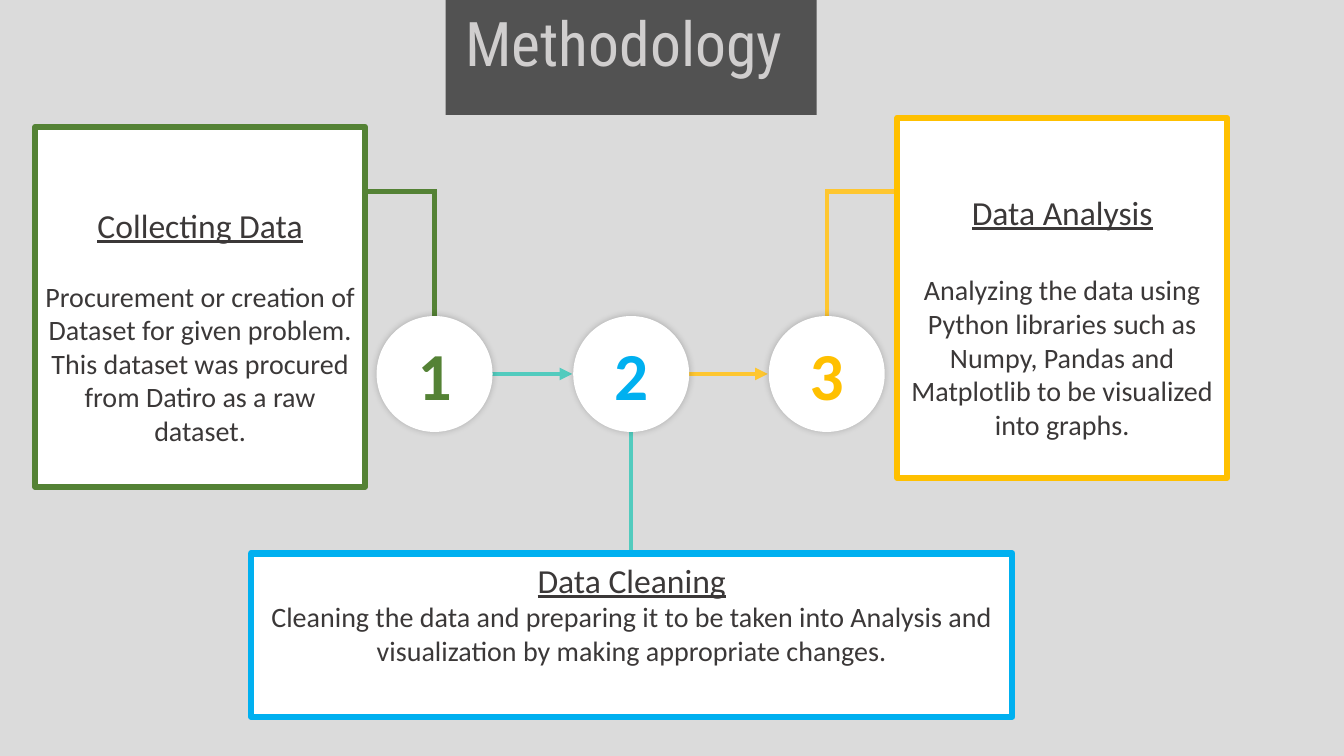
from lxml.etree import SubElement
from pptx import Presentation
from pptx.dml.color import RGBColor
from pptx.enum.shapes import MSO_CONNECTOR, MSO_SHAPE
from pptx.enum.text import MSO_ANCHOR, PP_ALIGN
from pptx.oxml.ns import qn
from pptx.util import Inches, Pt

COLORS = {
    "background": "DBDBDB", "banner": "525252", "title": "D0CECE",
    "white": "FFFFFF", "text": "3B3838", "green": "548235",
    "blue": "00B0F0", "gold": "FFC000", "teal": "52CBBE",
    "amber": "FEC630", "black": "000000",
}
CIRCLE_SIZE = 1.15
CIRCLE_Y = 3.71
CIRCLE_CENTERS = [4.31, 6.26, 8.2]
BRANCH_Y = 1.9
CARDS = [
    {"box": (0.35, 1.26, 3.27, 3.57), "color": "green", "top": 0.77, "gap": 24.4,
     "heading": "Collecting Data",
     "body": "Procurement or creation of Dataset for given problem. "
             "This dataset was procured from Datiro as a raw dataset."},
    {"box": (2.49, 5.49, 7.55, 1.62), "color": "blue", "top": 0.06, "gap": 0,
     "heading": "Data Cleaning",
     "body": "Cleaning the data and preparing it to be taken into Analysis and "
             "visualization by making appropriate changes."},
    {"box": (8.9, 1.17, 3.27, 3.57), "color": "gold", "top": 0.73, "gap": 29.3,
     "heading": "Data Analysis",
     "body": "Analyzing the data using Python libraries such as Numpy, Pandas and "
             "Matplotlib to be visualized into graphs."},
]


def rgb(name):
    return RGBColor.from_string(COLORS[name])


def set_attributes(target, values):
    for name, value in values.items():
        setattr(target, name, value)


def set_fill(fill, color):
    fill.solid()
    fill.fore_color.rgb = rgb(color)


def write(paragraph, text, color, **font_values):
    paragraph.alignment = PP_ALIGN.CENTER
    run = paragraph.add_run()
    run.text = text
    set_attributes(run.font, {"name": "Calibri", **font_values})
    run.font.color.rgb = rgb(color)


def add_banner(slide, box):
    title = slide.shapes.title
    names = ("left", "top", "width", "height")
    set_attributes(title, dict(zip(names, map(Inches, box))))
    set_fill(title.fill, "banner")
    set_attributes(title.text_frame, {
        "vertical_anchor": MSO_ANCHOR.TOP, "word_wrap": True,
        "margin_top": Inches(0.05), "margin_right": Inches(0.24),
    })
    write(title.text_frame.paragraphs[0], "Methodology", "title",
          name="Roboto Condensed", size=Pt(44))


def add_line(slide, start, end, color, arrow=False):
    connector = slide.shapes.add_connector(
        MSO_CONNECTOR.STRAIGHT, *map(Inches, (*start, *end)))
    connector.line.color.rgb = rgb(color)
    connector.line.width = Pt(3)
    properties = connector._element.spPr
    if arrow:
        SubElement(properties.find(qn("a:ln")), qn("a:tailEnd"), type="triangle")
    SubElement(properties, qn("a:effectLst"))


def add_branch(slide, center, card_edge, color):
    overlap = 0.02 if center > card_edge else -0.02
    add_line(slide, (center, CIRCLE_Y), (center, BRANCH_Y), color)
    add_line(slide, (card_edge, BRANCH_Y), (center + overlap, BRANCH_Y), color)


def add_step(slide, number, center, color):
    left, top = center - CIRCLE_SIZE / 2, CIRCLE_Y - CIRCLE_SIZE / 2
    circle = slide.shapes.add_shape(
        MSO_SHAPE.OVAL, *map(Inches, (left, top, CIRCLE_SIZE, CIRCLE_SIZE)))
    set_fill(circle.fill, "white")
    circle.line.fill.background()
    effects = SubElement(circle._element.spPr, qn("a:effectLst"))
    shadow = SubElement(effects, qn("a:outerShdw"), blurRad=str(Pt(5)),
                        dist="0", dir="0", algn="ctr", rotWithShape="0")
    shade = SubElement(shadow, qn("a:srgbClr"), val=COLORS["black"])
    SubElement(shade, qn("a:alpha"), val="20000")
    frame = circle.text_frame
    set_attributes(frame, {"vertical_anchor": MSO_ANCHOR.MIDDLE,
                           "margin_top": 0, "margin_bottom": 0})
    write(frame.paragraphs[0], str(number), color, size=Pt(48), bold=True)


def add_card(slide, box, color, top, gap, heading, body):
    card = slide.shapes.add_shape(MSO_SHAPE.RECTANGLE, *map(Inches, box))
    card.shadow.inherit = False
    set_fill(card.fill, "white")
    card.line.color.rgb = rgb(color)
    card.line.width = Pt(4.5)
    frame = card.text_frame
    set_attributes(frame, {"word_wrap": True, "margin_top": Inches(top),
                           "vertical_anchor": MSO_ANCHOR.TOP})
    write(frame.paragraphs[0], heading, "text", size=Pt(24), underline=True)
    paragraph = frame.add_paragraph()
    paragraph.space_before = Pt(gap)
    write(paragraph, body, "text", size=Pt(20))


def add_flow(slide):
    first, second, third = CIRCLE_CENTERS
    radius = CIRCLE_SIZE / 2
    collecting, cleaning, analysis = (card["box"] for card in CARDS)
    add_branch(slide, first, collecting[0] + collecting[2], "green")
    add_branch(slide, third, analysis[0], "amber")
    add_line(slide, (second, cleaning[1]), (second, CIRCLE_Y), "teal")
    for start, end, color in ((first, second, "teal"), (second, third, "amber")):
        add_line(slide, (start + radius - 0.03, CIRCLE_Y),
                 (end - radius - 0.01, CIRCLE_Y), color, arrow=True)
    for number, (center, card) in enumerate(zip(CIRCLE_CENTERS, CARDS), 1):
        add_step(slide, number, center, card["color"])


def build_methodology(presentation):
    slide = presentation.slides.add_slide(presentation.slide_layouts[5])
    set_fill(slide.background.fill, "background")
    add_banner(slide, (4.42, 0, 3.68, 1.14))
    add_flow(slide)
    for card in CARDS:
        add_card(slide, **card)


presentation = Presentation()
set_attributes(presentation, {"slide_width": Inches(13.33), "slide_height": Inches(7.5)})
build_methodology(presentation)
presentation.save("out.pptx")
